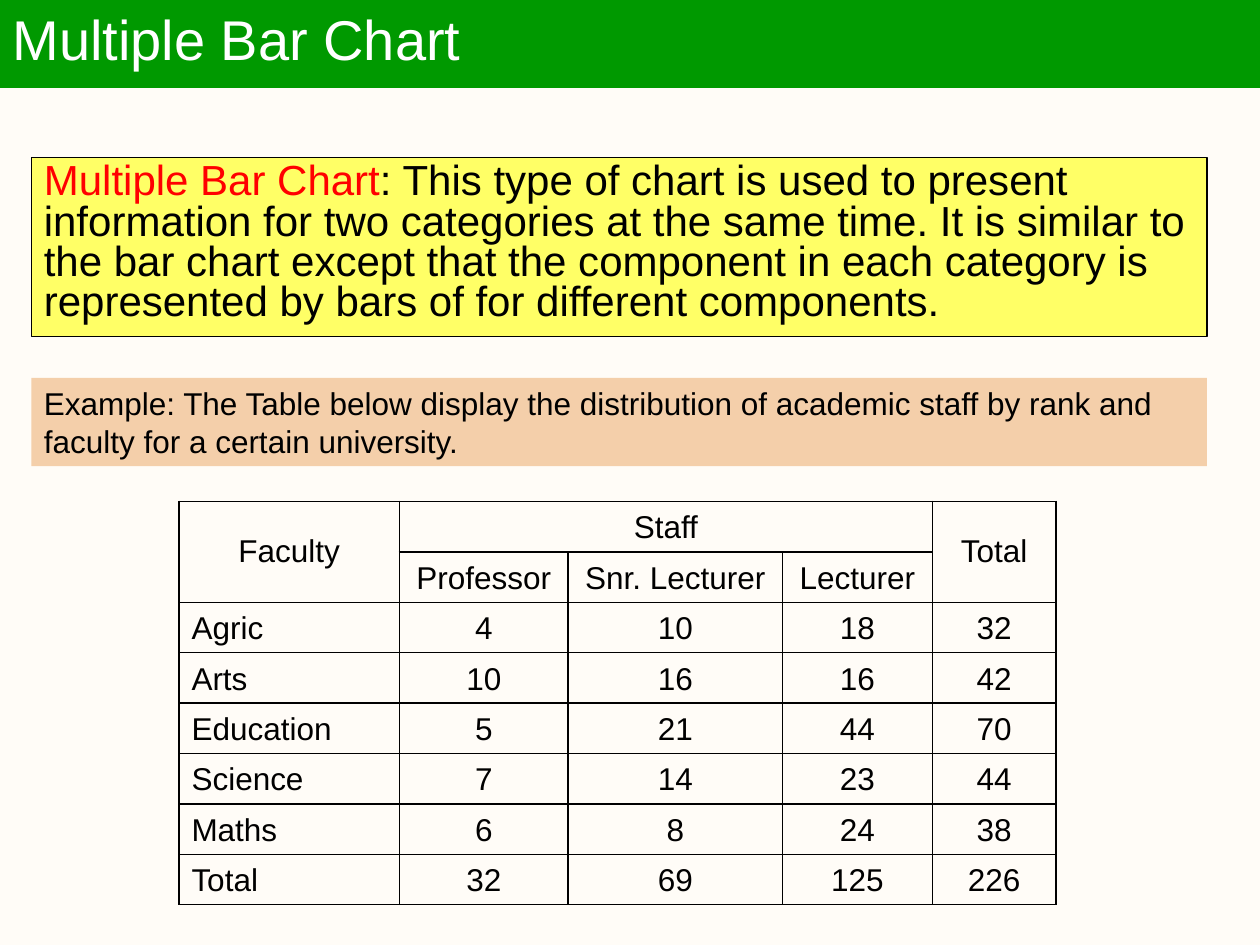
from lxml import etree
from pptx import Presentation
from pptx import util as u
from pptx.dml.color import RGBColor
from pptx.enum import shapes, text
from pptx.oxml import ns

CREAM = RGBColor(0xFF, 0xFC, 0xF7)
GREEN = RGBColor(0x00, 0x99, 0x00)
YELLOW = RGBColor(0xFF, 0xFF, 0x66)
PEACH = RGBColor(0xF4, 0xCF, 0xAA)
RED = RGBColor(0xFF, 0x00, 0x00)
BLACK = RGBColor(0x00, 0x00, 0x00)
WHITE = RGBColor(0xFF, 0xFF, 0xFF)

FONT = "Arial"
TOPIC = "Multiple Bar Chart"
DEFINITION = (
    ": This type of chart is used to present information for two categories "
    "at the same time. It is similar to the bar chart except that the component "
    "in each category is represented by bars of for different components."
)
EXAMPLE = (
    "Example: The Table below display the distribution of academic staff "
    "by rank and faculty for a certain university."
)

RANKS = ["Professor", "Snr. Lecturer", "Lecturer"]
STAFF = {
    "Agric": [4, 10, 18],
    "Arts": [10, 16, 16],
    "Education": [5, 21, 44],
    "Science": [7, 14, 23],
    "Maths": [6, 8, 24],
}
COLUMN_WIDTHS = [1.75, 1.34, 1.7, 1.19, 0.98]


def set_font(para, size, color):
    para.font.name = FONT
    para.font.size = u.Pt(size)
    para.font.color.rgb = color


def add_panel(page, box, fill, line, anchor, size, color, spacing, parts):
    """Place a filled box with one paragraph; parts are (words, own colour)."""
    panel = page.shapes.add_shape(
        shapes.MSO_SHAPE.RECTANGLE, *(u.Inches(length) for length in box))
    panel.shadow.inherit = False
    panel.fill.solid()
    panel.fill.fore_color.rgb = fill
    if line is None:
        panel.line.fill.background()
    else:
        panel.line.color.rgb = line
        panel.line.width = u.Pt(0.75)

    frame = panel.text_frame
    frame.word_wrap = True
    frame.vertical_anchor = anchor
    para = frame.paragraphs[0]
    para.alignment = text.PP_ALIGN.LEFT
    para.line_spacing = spacing
    set_font(para, size, color)
    for words, own_color in parts:
        span = para.add_run()
        span.text = words
        # LibreOffice takes the shape's own text colour unless runs set one
        span.font.color.rgb = own_color or color


def add_borders(cell):
    properties = cell._tc.get_or_add_tcPr()
    for position, side in enumerate(("a:lnL", "a:lnR", "a:lnT", "a:lnB")):
        border = etree.Element(ns.qn(side), w=str(u.Pt(1)))
        fill = etree.SubElement(border, ns.qn("a:solidFill"))
        etree.SubElement(fill, ns.qn("a:srgbClr"), val=str(BLACK))
        properties.insert(position, border)


def staff_rows():
    """Two heading rows, one row per faculty, and the column totals."""
    rows = [["Faculty", "Staff", "", "", "Total"], ["", *RANKS, ""]]
    rows += [[name, *counts, sum(counts)] for name, counts in STAFF.items()]
    totals = [sum(column) for column in zip(*STAFF.values())]
    return rows + [["Total", *totals, sum(totals)]]


def add_staff_table(page, box):
    rows = staff_rows()
    last = len(COLUMN_WIDTHS) - 1
    table = page.shapes.add_table(
        len(rows), last + 1, *(u.Inches(length) for length in box)).table
    table.first_row = table.horz_banding = False
    for column, width in zip(table.columns, COLUMN_WIDTHS):
        column.width = u.Inches(width)

    for r, values in enumerate(rows):
        table.rows[r].height = u.Inches(box[3] / len(rows))
        for c, value in enumerate(values):
            cell = table.cell(r, c)
            cell.fill.background()
            add_borders(cell)
            tall = r < 2 and c in (0, last)
            cell.vertical_anchor = (
                text.MSO_ANCHOR.MIDDLE if tall else text.MSO_ANCHOR.BOTTOM)
            cell.text = str(value)
            para = cell.text_frame.paragraphs[0]
            left = c == 0 and r > 1
            para.alignment = text.PP_ALIGN.LEFT if left else text.PP_ALIGN.CENTER
            set_font(para, 18, BLACK)

    # Headings that span rows or columns
    for c in (0, last):
        table.cell(0, c).merge(table.cell(1, c))
    table.cell(0, 1).merge(table.cell(0, last - 1))


def main():
    deck = Presentation()
    deck.slide_width, deck.slide_height = u.Inches(10), u.Inches(7.5)
    page = deck.slides.add_slide(deck.slide_layouts[6])
    page.background.fill.solid()
    page.background.fill.fore_color.rgb = CREAM

    # Definition
    add_panel(page, (0.25, 1.25, 9.33, 1.42), YELLOW, BLACK, text.MSO_ANCHOR.TOP,
              24, BLACK, 0.8, [(TOPIC, RED), (DEFINITION, None)])
    # Example and its data
    add_panel(page, (0.25, 3, 9.33, 0.7), PEACH, None, text.MSO_ANCHOR.TOP,
              18, BLACK, 1.0, [(EXAMPLE, None)])
    add_staff_table(page, (1.42, 3.98, sum(COLUMN_WIDTHS), 3.2))
    # Title bar
    add_panel(page, (0, -0.02, 10, 0.71), GREEN, GREEN, text.MSO_ANCHOR.MIDDLE,
              32, WHITE, 0.9, [(TOPIC, None)])

    deck.save("out.pptx")


if __name__ == "__main__":
    main()
